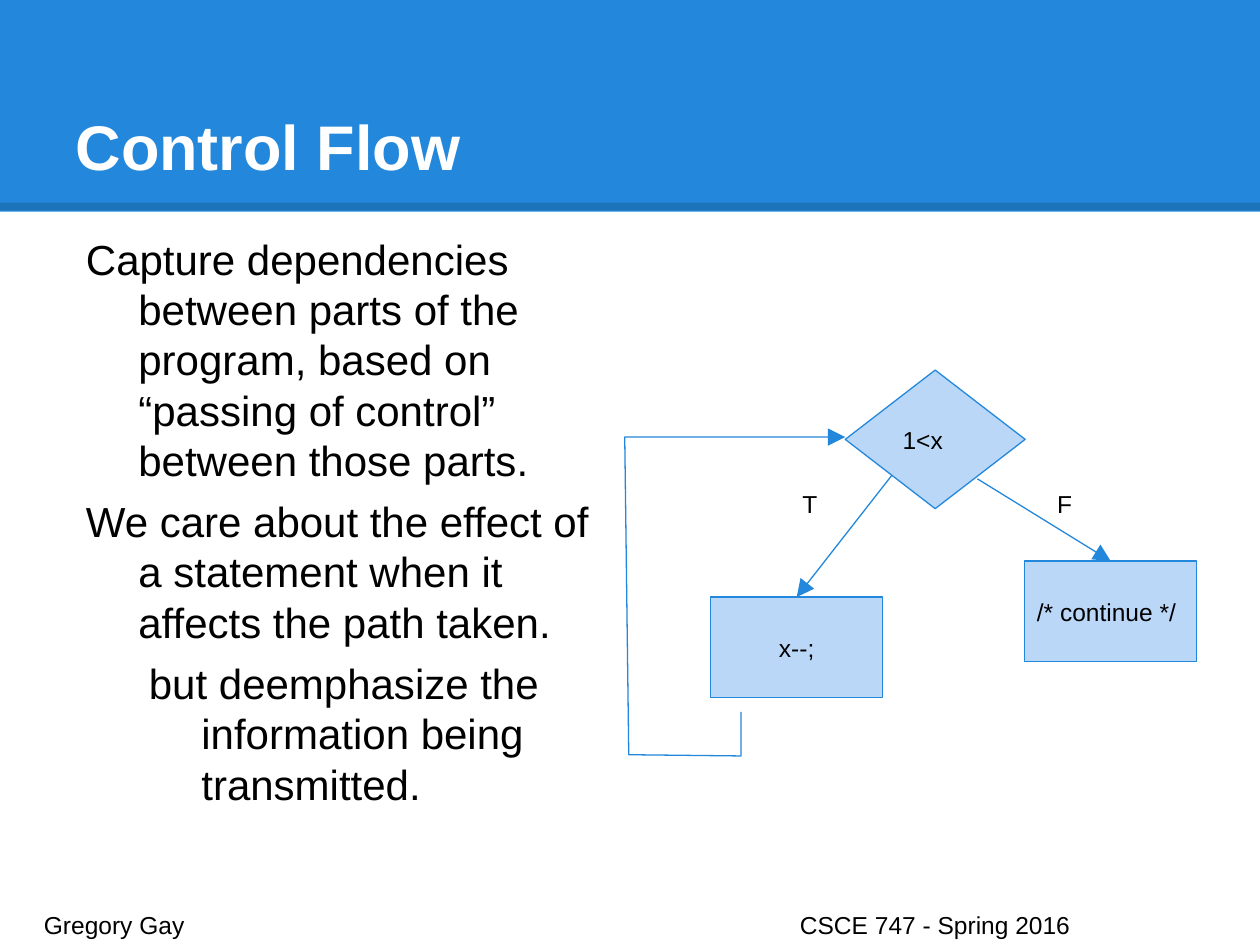
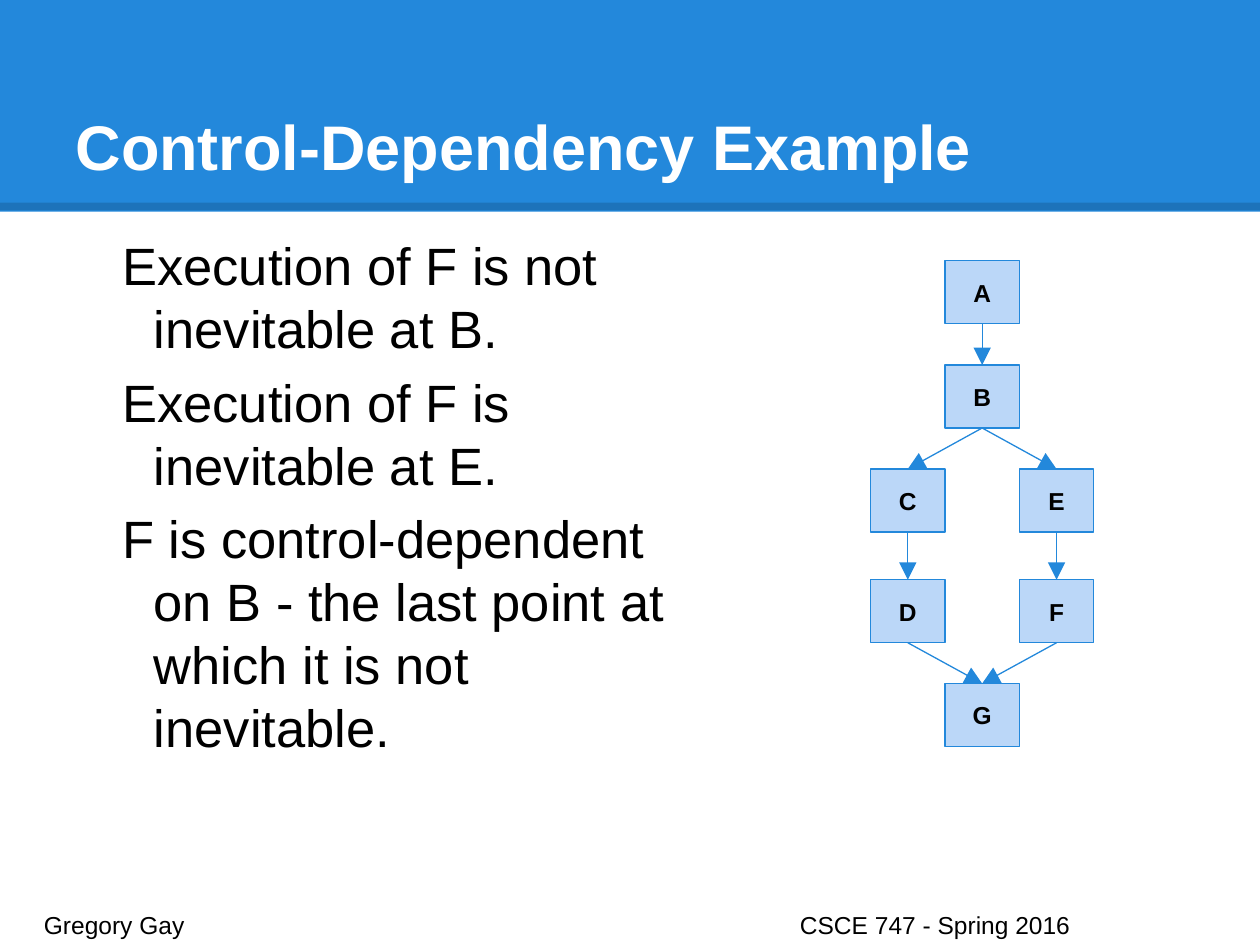
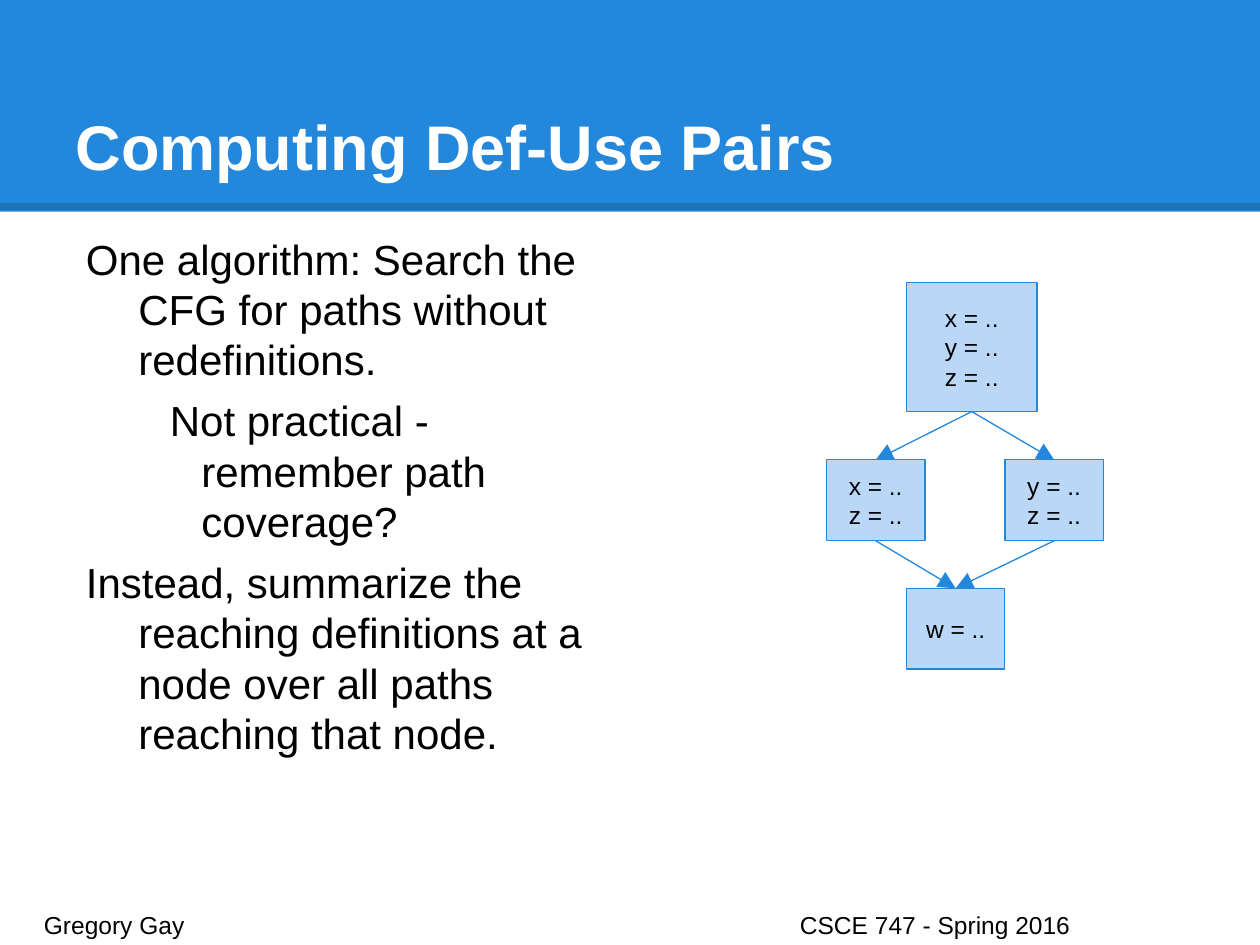
from pptx import Presentation
from pptx.dml.color import RGBColor
from pptx.enum.shapes import MSO_CONNECTOR as CONN, MSO_SHAPE as SHAPE
from pptx.enum.text import MSO_ANCHOR as ANCHOR, MSO_AUTO_SIZE as AUTO, PP_ALIGN as ALIGN
from pptx.oxml.ns import qn
from pptx.util import Pt
from lxml.etree import SubElement

# Shared style
BLUE, PALE, BLACK, WHITE = "2388DB", "BBD7F8", "000000", "FFFFFF"
FONT = "Arial"
SLIDE_W, SLIDE_H = 720, 540
BAND_H, BAND_EDGE_Y = 121, 118
INSET = 7.2
FOOTER = "Gregory Gay\tCSCE 747 - Spring 2016"
FOOTER_TAB = 432

# Body indents: left margin and first-line offset
WIDE, NARROW = (36, -30), (36, -18)
SUB_WIDE, SUB_NARROW = (72, -30), (72, -18)

# Grid of the seven-node graph on the second slide
CELL_W, CELL_H, GRID_X = 42.5, 36, 497.5
ROWS = (149, 208.6, 268, 331.3, 390.6)
CELLS = {"A": (1, 0), "B": (1, 1), "C": (0, 2), "D": (0, 3),
         "E": (2, 2), "F": (2, 3), "G": (1, 4)}

# Nodes: text, left, top, width, height, format. Edges: node name or point, node name.
SLIDES = [
    dict(
        title="Control Flow", body_box=(36, 126, 315, 391), body_size=24,
        body=[("Capture dependencies between parts of the program, based on "
               "“passing of control” between those parts.", WIDE),
              ("We care about the effect of a statement when it affects the path taken.", WIDE),
              ("but deemphasize the information being transmitted.", SUB_WIDE)],
        nodes={"step": ("x--;", 406, 341.2, 98.5, 57.4, {}),
               "exit": ("/* continue */", 585.4, 320.6, 98.5, 57.4, dict(align=ALIGN.LEFT)),
               "test": ("1<x", 483, 211.5, 102.8, 79.2,
                        dict(align=ALIGN.LEFT, kind=SHAPE.DIAMOND))},
        edges=[((558.5, 273.6), "exit"), ((509.8, 271.4), "step")],
        labels=[("T", 451.4, 272.2), ("F", 597, 272.2)],
        loop=[(423.4, 406.8), (423.4, 432), (359.3, 431.3), (357, 249.8), (483, 249.8)]),
    dict(
        title="Control-Dependency Example", body_box=(44.8, 126, 368.6, 391), body_size=30,
        body=[("Execution of F is not inevitable at B.", NARROW),
              ("Execution of F is inevitable at E.", NARROW),
              ("F is control-dependent on B - the last point at which it is not inevitable.",
               NARROW)],
        nodes={name: (name, GRID_X + col * CELL_W, ROWS[row], CELL_W, CELL_H, dict(bold=True))
               for name, (col, row) in CELLS.items()},
        edges=["AB", "BC", "BE", "CD", "EF", "DG", "FG"]),
    dict(
        title="Computing Def-Use Pairs", body_box=(36, 126, 315, 391), body_size=24,
        body=[("One algorithm: Search the CFG for paths without redefinitions.", WIDE),
              ("Not practical - remember path coverage?", SUB_NARROW),
              ("Instead, summarize the reaching definitions at a node over all paths "
               "reaching that node.", WIDE)],
        nodes={"top": ("x = ..\ny = ..\nz = ..", 518, 161.3, 74.6, 73.9, {}),
               "left": ("x = ..\nz = ..", 472.3, 262.8, 56.2, 46.2, {}),
               "right": ("y = ..\nz = ..", 574.3, 262.8, 56.2, 46.2, {}),
               "end": ("w = ..", 518, 336.2, 56.2, 46.2, {})},
        edges=[("top", "left"), ("top", "right"), ("left", "end"), ("right", "end")]),
]


def rgb(hex_code):
    return RGBColor.from_string(hex_code)


def pts(*values):
    return [Pt(v) for v in values]


def write(sp, text, size=14, color=BLACK, bold=False, align=ALIGN.LEFT,
          anchor=ANCHOR.TOP, indents=(), gap=0, tab=None):
    """Fill a shape with text, one paragraph per line."""
    tf = sp.text_frame
    tf.word_wrap, tf.auto_size, tf.vertical_anchor = True, AUTO.NONE, anchor
    tf.margin_left = tf.margin_right = tf.margin_top = tf.margin_bottom = Pt(INSET)
    for i, line in enumerate(text.split("\n")):
        p = tf.add_paragraph() if i else tf.paragraphs[0]
        p.alignment = align
        p.space_before = Pt(gap if i else 0)
        pPr = p._p.get_or_add_pPr()
        if indents:
            left, first = indents[i]
            pPr.set("marL", str(Pt(left)))
            pPr.set("indent", str(Pt(first)))
        if tab:
            tabs = SubElement(pPr, qn("a:tabLst"))
            SubElement(tabs, qn("a:tab"), pos=str(Pt(tab)), algn="l")
        r = p.add_run()
        r.text = line
        f = r.font
        f.name, f.size, f.bold = FONT, Pt(size), bold
        f.color.rgb = rgb(color)


def text_box(s, box, text, **fmt):
    write(s.shapes.add_textbox(*pts(*box)), text, **fmt)


def add_filled(s, kind, box, fill, line=None):
    sp = s.shapes.add_shape(kind, *pts(*box))
    sp.shadow.inherit = False
    sp.fill.solid()
    sp.fill.fore_color.rgb = rgb(fill)
    if line:
        style_line(sp, line)
    else:
        sp.line.fill.background()
    return sp


def style_line(sp, color=BLUE, width=0.75, arrow=False):
    sp.line.color.rgb = rgb(color)
    sp.line.width = Pt(width)
    if arrow:
        SubElement(sp.line._get_or_add_ln(), qn("a:tailEnd"), type="triangle", w="lg", len="lg")


def add_line(s, start, end, **style):
    cxn = s.shapes.add_connector(CONN.STRAIGHT, *pts(*start, *end))
    style_line(cxn, **style)
    SubElement(cxn.element.spPr, qn("a:effectLst"))
    return cxn


def add_frame(s, title):
    """Band, its darker lower edge, title and footer."""
    band = add_filled(s, SHAPE.RECTANGLE, (0, 0, SLIDE_W, BAND_H), BLUE)
    edge = add_line(s, (0, BAND_EDGE_Y), (SLIDE_W, BAND_EDGE_Y), color=BLACK, width=4.5)
    color = next(edge.element.spPr.iter(qn("a:srgbClr")))
    SubElement(color, qn("a:alpha"), val="15000")
    head = s.shapes.title
    for part in (band, edge):
        head.element.addprevious(part.element)
    head.left, head.top, head.width, head.height = pts(36, 21.6, 648, 90)
    write(head, title, size=36, color=WHITE, bold=True, anchor=ANCHOR.BOTTOM)
    text_box(s, (18, 512.6, 684.7, 21.6), FOOTER, tab=FOOTER_TAB)


def add_graph(s, nodes, edges):
    shapes = {}
    for name, (text, x, y, w, h, fmt) in nodes.items():
        fmt = dict(align=ALIGN.CENTER, anchor=ANCHOR.MIDDLE) | fmt
        kind = fmt.pop("kind", SHAPE.RECTANGLE)
        shapes[name] = add_filled(s, kind, (x, y, w, h), PALE, BLUE)
        write(shapes[name], text, **fmt)
    for start, end in edges:
        named = start in shapes
        cxn = add_line(s, (0, 0) if named else start, (0, 0), arrow=True)
        if named:
            cxn.begin_connect(shapes[start], 2)
        cxn.end_connect(shapes[end], 0)


def add_loop(s, points):
    first, *rest = [pts(*point) for point in points]
    builder = s.shapes.build_freeform(*first)
    builder.add_line_segments(rest, close=False)
    sp = builder.convert_to_shape()
    sp.shadow.inherit = False
    sp.fill.background()
    style_line(sp, arrow=True)


def main():
    prs = Presentation()
    prs.slide_width, prs.slide_height = pts(SLIDE_W, SLIDE_H)
    for page in SLIDES:
        s = prs.slides.add_slide(prs.slide_layouts[5])
        add_frame(s, page["title"])
        lines, indents = zip(*page["body"])
        text_box(s, page["body_box"], "\n".join(lines), size=page["body_size"],
                 indents=indents, gap=6)
        add_graph(s, page["nodes"], page["edges"])
        for text, x, y in page.get("labels", []):
            text_box(s, (x, y, 31.7, 21.6), text)
        if "loop" in page:
            add_loop(s, page["loop"])
    prs.save("out.pptx")


if __name__ == "__main__":
    main()
